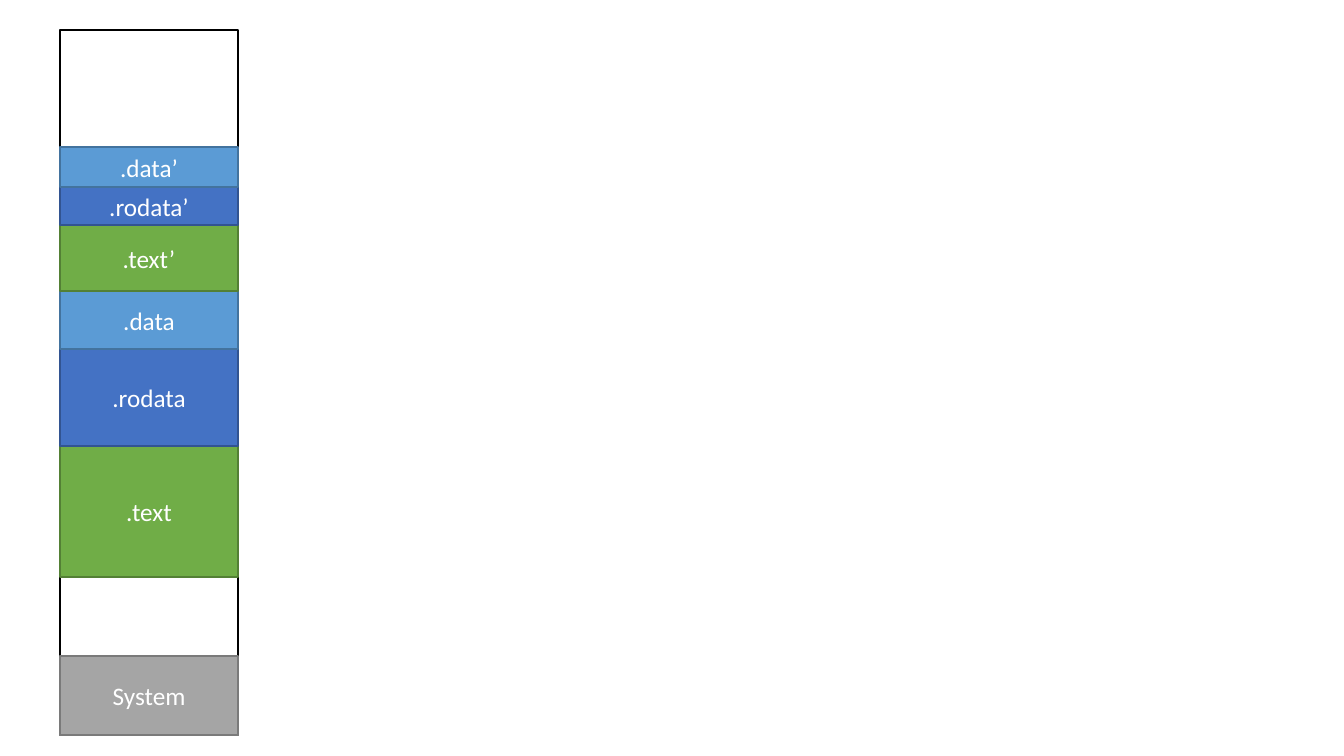
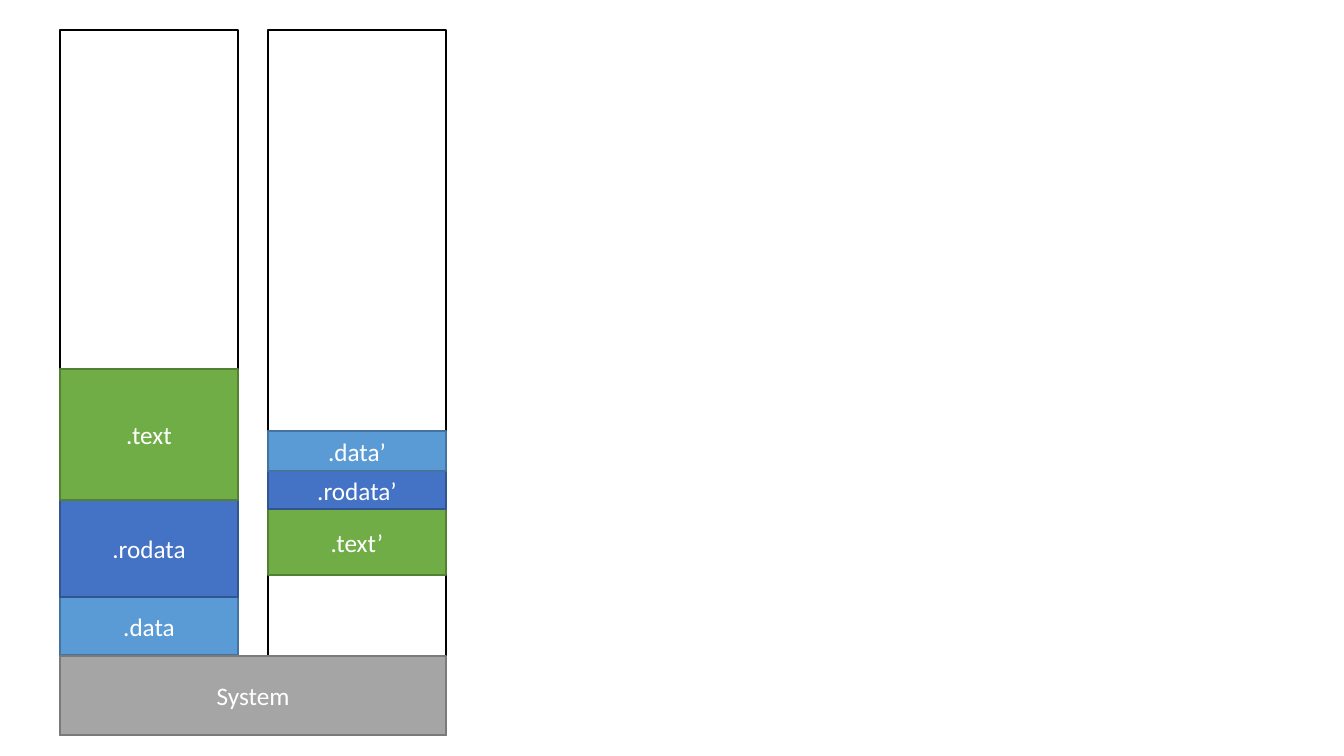
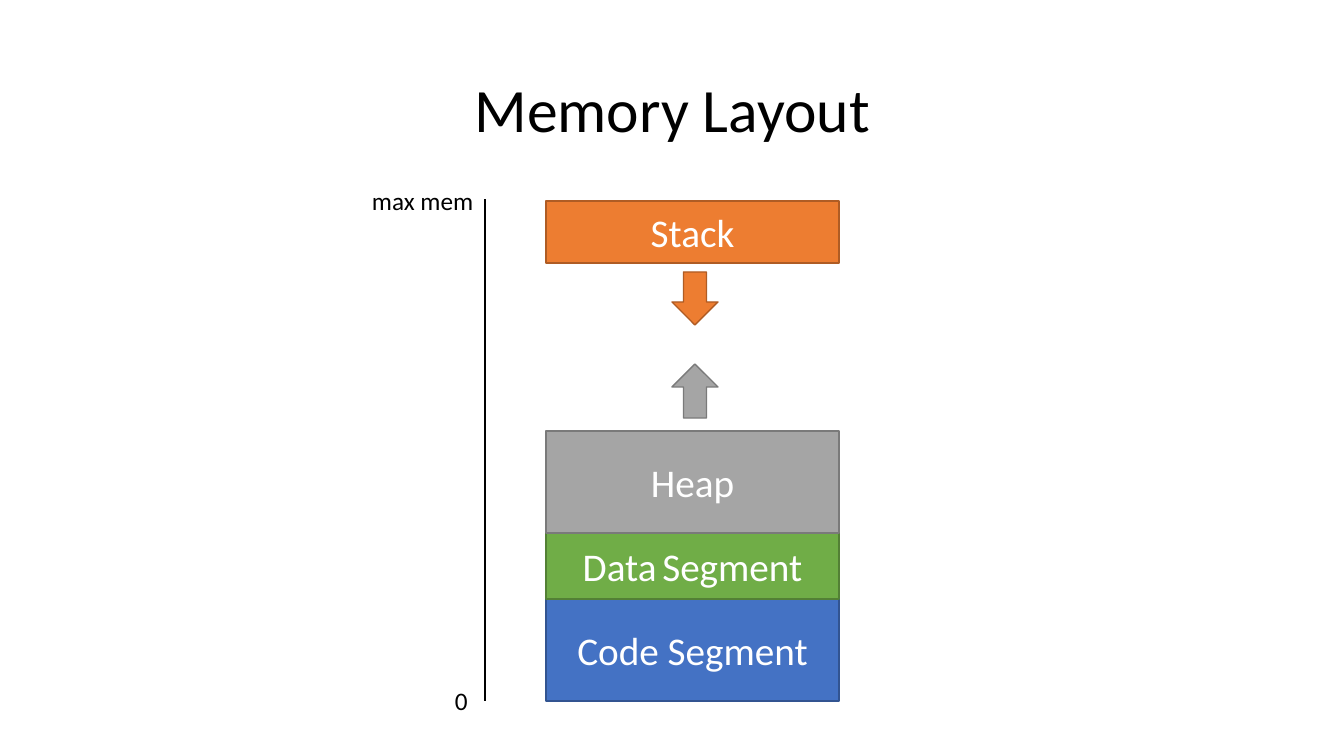
"""Builds three slides of memory layout diagrams."""
from collections import namedtuple

from pptx import Presentation
from pptx import util as u
from pptx.dml.color import RGBColor
from pptx.enum import shapes, text
from pptx.oxml.ns import qn
from lxml import etree

EMU_PER_PIXEL = 914400 / 100.8
FONT = "Calibri"
BLACK = RGBColor(0x00, 0x00, 0x00)
WHITE = RGBColor(0xFF, 0xFF, 0xFF)

Paint = namedtuple("Paint", "fill line")
EMPTY = Paint(WHITE, BLACK)
GREEN = Paint(RGBColor(0x70, 0xAD, 0x47), RGBColor(0x53, 0x80, 0x35))
BLUE = Paint(RGBColor(0x44, 0x72, 0xC4), RGBColor(0x32, 0x54, 0x91))
SKY = Paint(RGBColor(0x5B, 0x9B, 0xD5), RGBColor(0x43, 0x73, 0x9E))
GRAY = Paint(RGBColor(0xA5, 0xA5, 0xA5), RGBColor(0x7A, 0x7A, 0x7A))
ORANGE = Paint(RGBColor(0xED, 0x7D, 0x31), RGBColor(0xAF, 0x5C, 0x24))

RECTANGLE = shapes.MSO_SHAPE.RECTANGLE
TITLE_ONLY, BLANK = 5, 6

# Sections as (label, height, paint), from the lowest address upwards.
TEXT = (".text", 131, GREEN)
RODATA = (".rodata", 97, BLUE)
DATA = (".data", 58, SKY)
SECOND_PROGRAM = [(".text’", 66, GREEN), (".rodata’", 38, BLUE), (".data’", 40, SKY)]

COLUMN_LEFT, COLUMN_TOP, COLUMN_WIDTH, COLUMN_HEIGHT = 60, 30, 178, 705
COLUMN_PITCH = 208
SYSTEM_TOP, SYSTEM_HEIGHT = 656, 79


def px(pixels):
    """Turn pixels into EMU."""
    return u.Emu(round(pixels * EMU_PER_PIXEL))


class Deck:
    """Holds the presentation, its style and the current slide."""

    def __init__(self):
        """Start an empty widescreen presentation."""
        self.presentation = Presentation()
        self.presentation.slide_width = px(1344)
        self.presentation.slide_height = px(756)
        self.slide = None

    def add_slide(self, layout):
        """Start a new slide with the given layout."""
        self.slide = self.presentation.slides.add_slide(
            self.presentation.slide_layouts[layout])

    def style_run(self, run, size, color):
        """Set the font of a run."""
        run.font.name = FONT
        run.font.size = u.Pt(size)
        run.font.color.rgb = color

    def set_words(self, shape, words, size, color, align):
        """Put one formatted paragraph into a shape and return it."""
        shape.text_frame.text = words
        paragraph = shape.text_frame.paragraphs[0]
        paragraph.alignment = align
        for run in paragraph.runs:
            self.style_run(run, size, color)
        return paragraph

    def title(self, words):
        """Place and fill the title placeholder."""
        shape = self.slide.shapes.title
        shape.left, shape.top, shape.width, shape.height = map(px, (93, 40, 1159, 146))
        paragraph = self.set_words(shape, words, 44, BLACK, text.PP_ALIGN.CENTER)
        paragraph.line_spacing = 0.9
        shape.text_frame.auto_size = text.MSO_AUTO_SIZE.NONE
        shape.text_frame.vertical_anchor = text.MSO_ANCHOR.MIDDLE

    def block(self, left, top, width, height, paint, label="", size=18, kind=RECTANGLE):
        """Draw a filled shape with an optional centred label."""
        shape = self.slide.shapes.add_shape(kind, *map(px, (left, top, width, height)))
        shape.shadow.inherit = False
        shape.fill.solid()
        shape.fill.fore_color.rgb = paint.fill
        shape.line.color.rgb = paint.line
        shape.line.width = u.Pt(1)
        if label:
            self.set_words(shape, label, size, WHITE, text.PP_ALIGN.CENTER)
            shape.text_frame.vertical_anchor = text.MSO_ANCHOR.MIDDLE
        return shape

    def stack(self, left, bottom, width, sections, size=18):
        """Pile sections upwards from bottom and return their shapes."""
        blocks = []
        for label, height, paint in sections:
            bottom -= height
            blocks.append(self.block(left, bottom, width, height, paint, label, size))
        return blocks

    def memory(self, left):
        """Draw the empty column of an address space."""
        self.block(left, COLUMN_TOP, COLUMN_WIDTH, COLUMN_HEIGHT, EMPTY)

    def system(self, width):
        """Draw the system area at the foot of the columns."""
        self.block(COLUMN_LEFT, SYSTEM_TOP, width, SYSTEM_HEIGHT, GRAY, "System")

    def label(self, left, top, width, height, words):
        """Add an unwrapped text box."""
        box = self.slide.shapes.add_textbox(*map(px, (left, top, width, height)))
        self.set_words(box, words, 18, BLACK, text.PP_ALIGN.LEFT)
        box.text_frame.word_wrap = False
        box.text_frame.auto_size = text.MSO_AUTO_SIZE.SHAPE_TO_FIT_TEXT

    def line(self, x1, y1, x2, y2):
        """Draw a straight black line."""
        line = self.slide.shapes.add_connector(
            shapes.MSO_CONNECTOR.STRAIGHT, *map(px, (x1, y1, x2, y2)))
        line.line.color.rgb = BLACK
        line.line.width = u.Pt(1.5)
        etree.SubElement(line._element.spPr, qn("a:effectLst"))


def one_address_space(deck):
    """Both programs share one column."""
    deck.add_slide(BLANK)
    deck.memory(COLUMN_LEFT)
    deck.system(COLUMN_WIDTH)
    deck.stack(COLUMN_LEFT, 577, COLUMN_WIDTH, [TEXT, RODATA, DATA] + SECOND_PROGRAM)


def two_address_spaces(deck):
    """Each program has its own column above a shared system area."""
    deck.add_slide(BLANK)
    programs = [(655, [DATA, RODATA, TEXT]), (575, SECOND_PROGRAM)]
    for index, (bottom, sections) in enumerate(programs):
        left = COLUMN_LEFT + index * COLUMN_PITCH
        deck.memory(left)
        deck.stack(left, bottom, COLUMN_WIDTH, sections)
    deck.system(COLUMN_PITCH + COLUMN_WIDTH)


def memory_layout(deck):
    """Segments of a process along a memory axis."""
    deck.add_slide(TITLE_ONLY)
    deck.title("Memory Layout")

    axis, bottom = 485, 701
    deck.line(axis, bottom, axis, 199)
    deck.label(445, 680, 33, 40, "0")
    deck.label(362, 180, 123, 40, "max mem")

    left, width, size = 546, 293, 28
    segments = [("Code Segment", 102, BLUE), ("Data", 66, GREEN), ("Heap", 102, GRAY)]
    data_segment = deck.stack(left, bottom, width, segments, size)[1]
    for words, run_size in ((" ", 18), ("Segment", size)):
        run = data_segment.text_frame.paragraphs[0].add_run()
        run.text = words
        deck.style_run(run, run_size, WHITE)
    deck.block(left, 201, width, 62, ORANGE, "Stack", size)

    deck.block(672, 272, 46, 53, ORANGE, kind=shapes.MSO_SHAPE.DOWN_ARROW)
    deck.block(672, 364, 46, 54, GRAY, kind=shapes.MSO_SHAPE.UP_ARROW)


def main():
    """Build and save the slides."""
    deck = Deck()
    one_address_space(deck)
    two_address_spaces(deck)
    memory_layout(deck)
    deck.presentation.save("out.pptx")


main()
